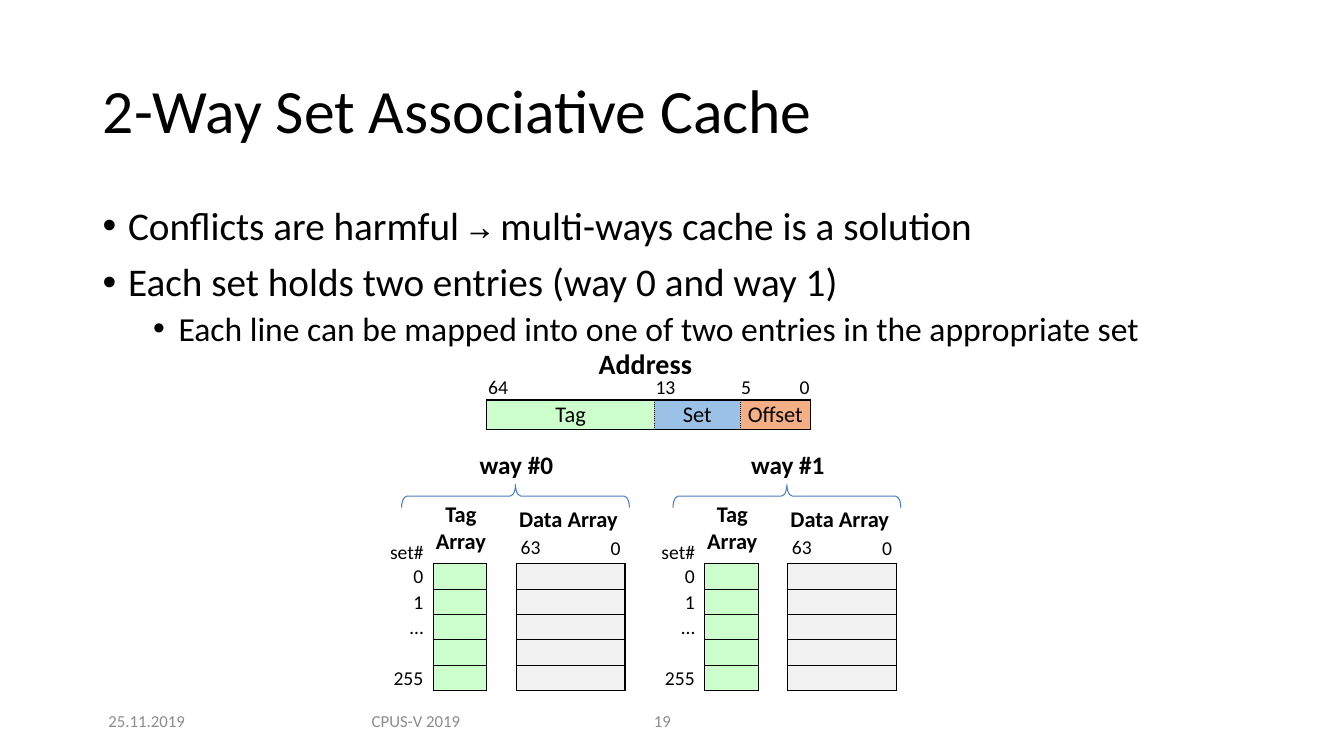
from lxml import etree
from pptx import Presentation
from pptx import util as u
from pptx.dml.color import RGBColor
from pptx.enum import shapes, text
from pptx.oxml.ns import qn

# Content
TITLE = "2-Way Set Associative Cache"
ARROW = "→"
POINTS = [  # level, runs
    (0, ["Conflicts are harmful ", ARROW, " multi-ways cache is a solution"]),
    (0, ["Each set holds two entries (way 0 and way 1)"]),
    (1, ["Each line can be mapped into one of two entries in the appropriate set"]),
]
BITS = [("64", "l"), ("13", "l"), ("", "l"), ("5", "l"), ("0", "r")]
FIELDS = [("Tag", "tag", 0, 0), ("Set", "set", 1, 2), ("Offset", "off", 3, 4)]
SETS = ["0", "1", "…", "", "255"]
WAYS = ["way #0", "way #1"]
LABELS = [  # text, x from way, y, width, height, size, bold, align, wrap
    ("63", 3.12, 13.36, 1.02, 0.86, "note", False, "l", False),
    ("0", 5.38, 13.39, 0.76, 0.86, "note", False, "r", False),
    ("Tag Array", 0.58, 12.47, 2.57, 1.63, "cell", True, "c", True),
    ("Data Array", 3.0, 12.6, 3.15, 0.94, "cell", True, "c", True),
    ("set#", -0.17, 13.49, 1.37, 0.86, "note", False, "l", False),
]
FOOTER = [  # text, x, width, align
    ("25.11.2019", 2.34, 2.72, "c"),
    ("CPUS-V 2019", 8.48, 4.01, "c"),
    ("19", 16.23, 2.01, "l"),
]

THEME = {
    "font": "Calibri", "mono": "Noto Sans Mono",
    "color": {"ink": "000000", "gray": "8C8C8C", "white": "FFFFFF",
              "tag": "CCFFCC", "set": "9BC2E6", "off": "F4B084",
              "data": "F2F2F2", "brace": "4B7EBC"},
    "size": {"title": 44, "body": 28, "sub": 24, "head": 20, "way": 18,
             "cell": 16, "note": 14, "foot": 12, "gap": 8},
}
ALIGN = {"l": text.PP_ALIGN.LEFT, "c": text.PP_ALIGN.CENTER,
         "r": text.PP_ALIGN.RIGHT}
MID, LOW, TOP = (text.MSO_ANCHOR.MIDDLE, text.MSO_ANCHOR.BOTTOM,
                 text.MSO_ANCHOR.TOP)
PLAIN = "{2D5ABB26-0587-4C30-8999-92F81FD0307C}"  # table style without lines
WAY_X, WAY_Y, WAY_STEP = 9.75, 14.2, 6.84
SOLID, THIN, DOT = (1, "solid"), (0.5, "solid"), (0.5, "sysDot")


def tint(name):
    return RGBColor.from_string(THEME["color"][name])


def add_run(par, words, size, color="ink", bold=False, font="font"):
    run = par.add_run()
    run.text = words
    run.font.name = THEME[font]
    run.font.size = u.Pt(THEME["size"][size])
    run.font.bold = bold
    run.font.color.rgb = tint(color)


def place(shape, *box):
    shape.left, shape.top, shape.width, shape.height = map(u.Cm, box)


def add_label(slide, words, box, size, bold=False, align="c", wrap=True,
              color="ink", anchor=TOP):
    frame = slide.shapes.add_textbox(*map(u.Cm, box)).text_frame
    frame.word_wrap = wrap
    frame.vertical_anchor = anchor
    par = frame.paragraphs[0]
    par.alignment = ALIGN[align]
    add_run(par, words, size, color, bold)


def add_grid(slide, x, y, cols, rows):
    box = map(u.Cm, (x, y, sum(cols), sum(rows)))
    grid = slide.shapes.add_table(len(rows), len(cols), *box).table
    grid.first_row = grid.horz_banding = False
    grid._tbl.tblPr.find(qn("a:tableStyleId")).text = PLAIN
    for col, width in zip(grid.columns, cols):
        col.width = u.Cm(width)
    for row, height in zip(grid.rows, rows):
        row.height = u.Cm(height)
    return grid


def fill_cell(cell, words, fill, size="note", align="c", anchor=MID,
              right=0.03, edges=None):
    cell.fill.solid()
    cell.fill.fore_color.rgb = tint(fill)
    cell.vertical_anchor = anchor
    cell.margin_left = cell.margin_top = u.Cm(0.03)
    cell.margin_right, cell.margin_bottom = u.Cm(right), 0
    par = cell.text_frame.paragraphs[0]
    par.alignment = ALIGN[align]
    if words:
        add_run(par, words, size)
    else:  # keeps an empty row from growing
        etree.SubElement(par._p, qn("a:endParaRPr"),
                         sz=str(THEME["size"]["gap"] * 100))
    props = cell._tc.get_or_add_tcPr()
    sides = [side for side in "LRTB" if side in (edges or {})]
    for spot, side in enumerate(sides):
        width, dash = edges[side]
        line = etree.Element(qn("a:ln" + side), w=str(u.Pt(width)))
        paint = etree.SubElement(line, qn("a:solidFill"))
        etree.SubElement(paint, qn("a:srgbClr"), val=THEME["color"]["ink"])
        etree.SubElement(line, qn("a:prstDash"), val=dash)
        props.insert(spot, line)


def add_title(slide):
    title = slide.shapes.title
    place(title, 2.34, 1.02, 29.21, 3.68)
    frame = title.text_frame
    frame.auto_size = text.MSO_AUTO_SIZE.NONE
    frame.vertical_anchor = MID
    par = frame.paragraphs[0]
    par.alignment, par.line_spacing = ALIGN["l"], 0.9
    add_run(par, TITLE, "title")


def add_points(slide):
    frame = slide.shapes.add_textbox(
        *map(u.Cm, (2.34, 5.08, 29.21, 11.48))).text_frame
    frame.word_wrap = True
    for spot, (level, runs) in enumerate(POINTS):
        par = frame.add_paragraph() if spot else frame.paragraphs[0]
        par.level, par.line_spacing = level, 0.9
        par.space_before = u.Pt(5 if level else 10)
        props = par._p.get_or_add_pPr()
        props.set("marL", str(u.Cm(0.64 + 1.27 * level)))
        props.set("indent", str(u.Cm(-0.64)))
        etree.SubElement(props, qn("a:buFont"), typeface="Arial")
        etree.SubElement(props, qn("a:buChar"), char="•")
        for words in runs:
            add_run(par, words, "sub" if level else "body",
                    font="mono" if words == ARROW else "font")


def add_address(slide):
    add_label(slide, "Address", (13.74, 8.61, 5.05, 1.12), "head", True)
    grid = add_grid(slide, 12.27, 9.42, [4.22, 0.86, 1.3, 0.89, 0.89],
                    [0.66, 0.74])
    for col, (bit, align) in enumerate(BITS):
        fill_cell(grid.cell(0, col), bit, "white", align=align,
                  edges={"B": SOLID})
    last = len(BITS) - 1
    for name, fill, start, end in FIELDS:
        edges = {"L": DOT if start else SOLID, "T": SOLID, "B": SOLID,
                 "R": SOLID if end == last else DOT}
        for col in range(start, end + 1):
            fill_cell(grid.cell(1, col), name if col == start else "", fill,
                      "cell", edges=edges)
        if end > start:
            grid.cell(1, start).merge(grid.cell(1, end))


def add_way(slide, name, x):
    # Tag and data arrays
    grid = add_grid(slide, x, WAY_Y, [1.17, 1.35, 0.74, 2.74],
                    [0.64] * len(SETS))
    for row, index in enumerate(SETS):
        frame = {"L": SOLID, "R": SOLID, "T": THIN if row else SOLID, "B": THIN}
        fill_cell(grid.cell(row, 0), index, "white", align="r", anchor=LOW,
                  right=0.25, edges={"R": SOLID})
        fill_cell(grid.cell(row, 1), "", "tag", edges=frame)
        fill_cell(grid.cell(row, 2), "", "white", edges={"L": SOLID, "R": SOLID})
        fill_cell(grid.cell(row, 3), "", "data", edges=frame)
    # Captions and brace
    for words, dx, y, width, height, *style in LABELS:
        add_label(slide, words, (x + dx, y, width, height), *style)
    brace = slide.shapes.add_shape(shapes.MSO_SHAPE.LEFT_BRACE,
                                   *map(u.Cm, (x + 2.95, 9.63, 0.58, 5.74)))
    brace.rotation = 90
    brace.adjustments[0] = 0.23
    brace.shadow.inherit = False
    brace.fill.background()
    brace.line.color.rgb = tint("brace")
    brace.line.width = u.Pt(0.75)
    add_label(slide, name, (x + 1.88, 11.2, 2.77, 1.02), "way", True)


def main():
    deck = Presentation()
    deck.slide_width, deck.slide_height = u.Cm(33.87), u.Cm(19.05)
    slide = deck.slides.add_slide(deck.slide_layouts[5])
    add_title(slide)
    add_points(slide)
    add_address(slide)
    for spot, name in enumerate(WAYS):
        add_way(slide, name, WAY_X + spot * WAY_STEP)
    for words, x, width, align in FOOTER:
        add_label(slide, words, (x, 17.65, width, 1.02), "foot", align=align,
                  color="gray", anchor=MID)
    deck.save("out.pptx")


if __name__ == "__main__":
    main()
